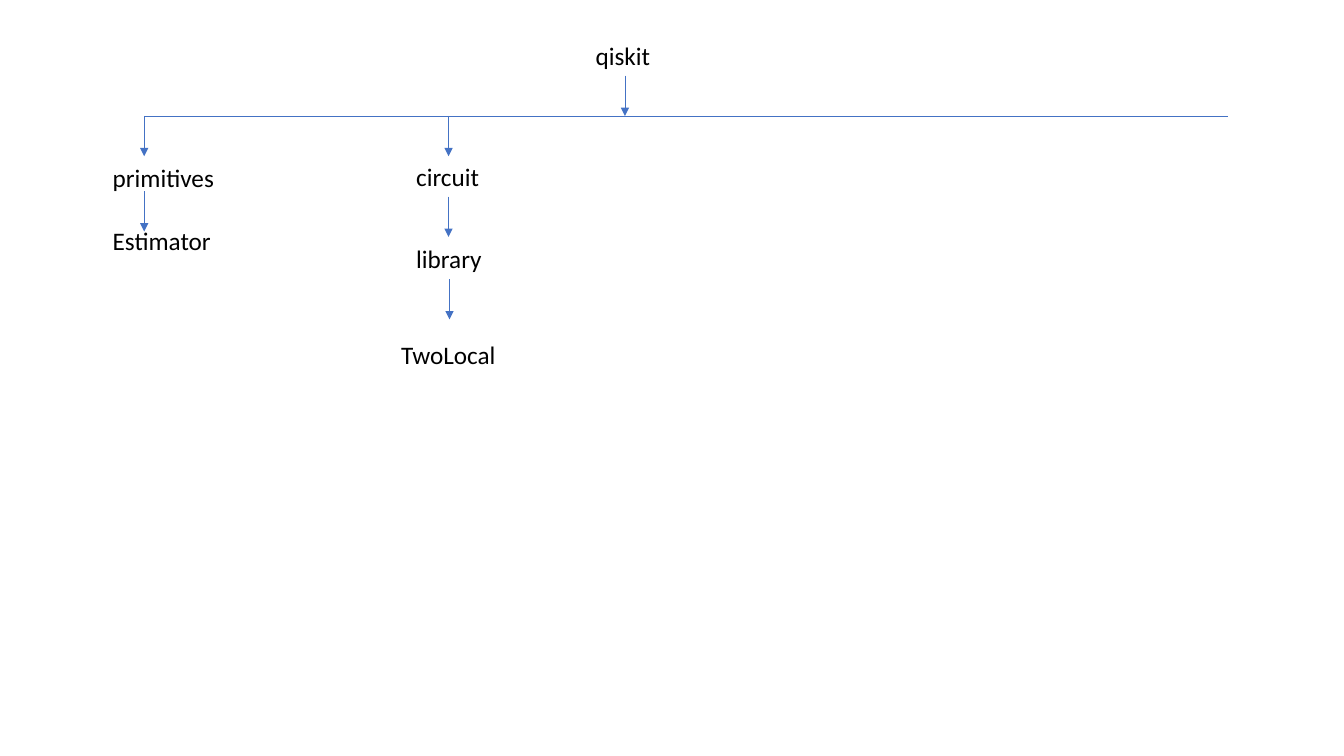
from dataclasses import dataclass

from lxml import etree
from pptx import Presentation
from pptx.dml.color import RGBColor
from pptx.enum.shapes import MSO_CONNECTOR
from pptx.enum.text import MSO_AUTO_SIZE, PP_ALIGN
from pptx.oxml.ns import qn
from pptx.util import Pt

STRAIGHT = MSO_CONNECTOR.STRAIGHT
FIT = MSO_AUTO_SIZE.SHAPE_TO_FIT_TEXT
LEFT = PP_ALIGN.LEFT


@dataclass(frozen=True)
class Theme:
    font: str = "Calibri"
    size: float = 18
    ink: RGBColor = RGBColor(0x00, 0x00, 0x00)
    line: RGBColor = RGBColor(0x44, 0x72, 0xC4)
    weight: float = 0.5


THEME = Theme()
STEP = 28.8  # height of a label and length of an arrow
BAR_Y = 82.8
ROOT_X, PRIM_X, CIRC_X = 446.4, 103, 320.4
BAR_END = 877

# Label, left, top, width
NODES = [
    ("qiskit", 418.3, 25.2, 54),
    ("primitives", 73.4, 112.3, 87.8),
    ("Estimator", 73.4, 157.7, 85),
    ("circuit", 290.2, 111.6, 59.8),
    ("library", 290.2, 170.6, 61.9),
    ("TwoLocal", 279.4, 239, 82.8),
]

# Centre and top of each arrow
ARROWS = [
    (ROOT_X, BAR_Y - STEP),
    (PRIM_X, BAR_Y),
    (PRIM_X, 136.6),
    (CIRC_X, BAR_Y),
    (CIRC_X, 140.4),
    (321.1, 199.4),
]


def write(frame, text, size=THEME.size, color=THEME.ink, align=LEFT):
    para = frame.paragraphs[0]
    para.alignment = align
    run = para.add_run()
    run.text = text
    run.font.name = THEME.font
    run.font.size = Pt(size)
    run.font.color.rgb = color


def add_node(slide, text, left, top, width):
    box = slide.shapes.add_textbox(Pt(left), Pt(top), Pt(width), Pt(STEP))
    frame = box.text_frame
    frame.word_wrap = False
    frame.auto_size = FIT
    write(frame, text)


def add_line(slide, start, end, arrow=False):
    ends = [Pt(value) for value in (*start, *end)]
    link = slide.shapes.add_connector(STRAIGHT, *ends)
    link.line.color.rgb = THEME.line
    link.line.width = Pt(THEME.weight)
    props = link.line._get_or_add_ln()
    if arrow:
        etree.SubElement(props, qn("a:tailEnd"), type="triangle")
    etree.SubElement(props.getparent(), qn("a:effectLst"))


def main():
    deck = Presentation()
    deck.slide_width, deck.slide_height = Pt(960), Pt(540)
    slide = deck.slides.add_slide(deck.slide_layouts[6])

    # Shared bar and the arrows of the tree
    add_line(slide, (PRIM_X, BAR_Y), (BAR_END, BAR_Y))
    for x, top in ARROWS:
        add_line(slide, (x, top), (x, top + STEP), arrow=True)

    # Module and class names
    for node in NODES:
        add_node(slide, *node)

    deck.save("out.pptx")


if __name__ == "__main__":
    main()
